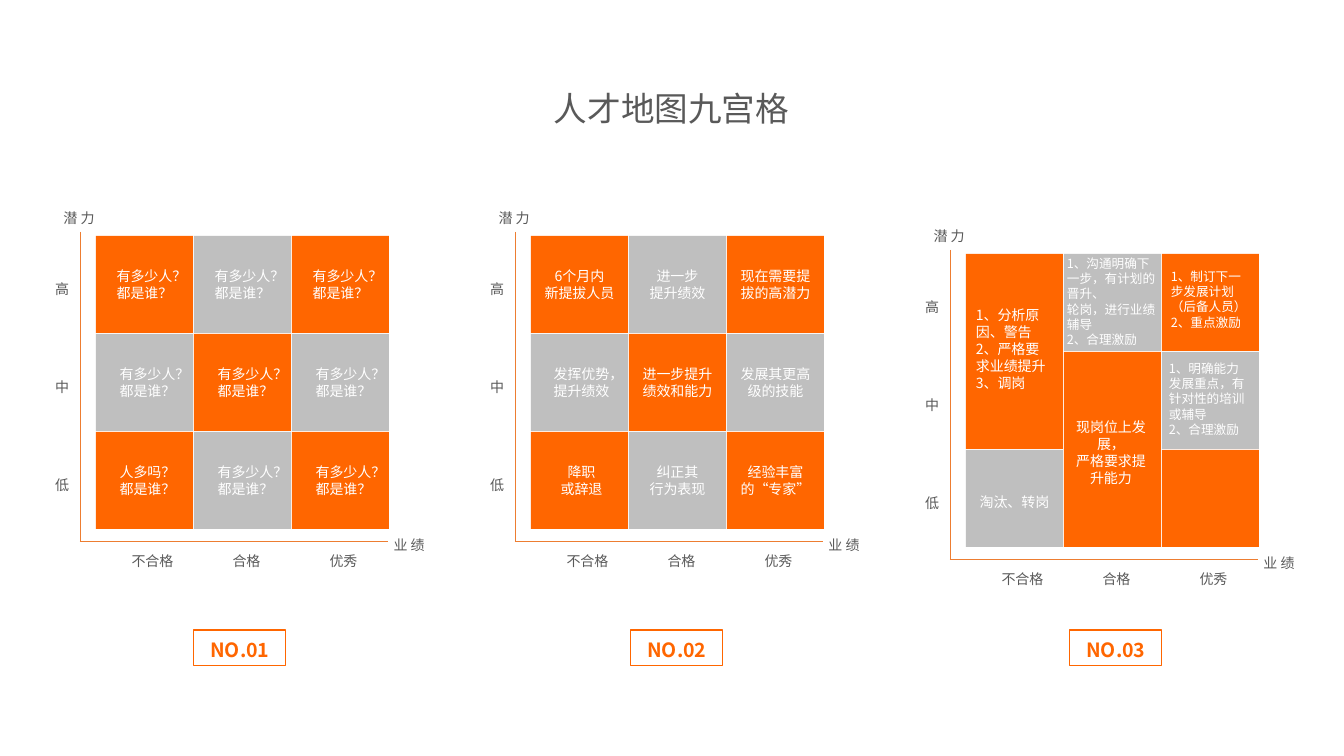
from dataclasses import dataclass

from lxml import etree
from pptx import Presentation
from pptx import util as u
from pptx.dml.color import RGBColor
from pptx.enum import lang, shapes, text
from pptx.oxml import ns

EMU_PER_PX = 914400 / 100.8
CELL = 97
PITCH = 98


@dataclass(frozen=True)
class Theme:
    """Colours, type sizes and font of the slide."""
    orange: str = "FF6600"
    silver: str = "BFBFBF"
    axis: str = "ED7D31"
    ink: str = "595959"
    white: str = "FFFFFF"
    font: str = "Noto Sans CJK SC"
    title: int = 24
    tag: int = 14
    body: int = 10
    small: int = 9


THEME = Theme()

HEADCOUNT = [["有多少人？\n都是谁？"] * 3 for _ in range(3)]
HEADCOUNT[2][0] = "人多吗？\n都是谁？"

ACTIONS = [
    ["6个月内\n新提拔人员", "进一步\n提升绩效", "现在需要提拔的高潜力"],
    ["发挥优势，提升绩效", "进一步提升绩效和能力", "发展其更高级的技能"],
    ["降职\n或辞退", "纠正其\n行为表现", "经验丰富的“专家”"],
]

PLAN_CELLS = [
    (0, 0, 2, THEME.orange), (1, 0, 1, THEME.silver), (2, 0, 1, THEME.orange),
    (1, 1, 2, THEME.orange), (2, 1, 1, THEME.silver),
    (0, 2, 1, THEME.silver), (2, 2, 1, THEME.orange),
]

LEFT, CENTER = text.PP_ALIGN.LEFT, text.PP_ALIGN.CENTER

PLAN_NOTES = [
    ("1、分析原因、警告\n2、严格要求业绩提升\n3、调岗",
     (0, 48, 97, 95), THEME.body, LEFT),
    ("1、沟通明确下一步，有计划的晋升、\n轮岗，进行业绩辅导\n2、合理激励",
     (91, -3, 109, 102), THEME.small, LEFT),
    ("1、制订下一步发展计划（后备人员）\n2、重点激励",
     (195, 10, 97, 72), THEME.small, LEFT),
    ("1、明确能力发展重点，有针对性的培训或辅导\n2、合理激励",
     (193, 102, 98, 87), THEME.small, LEFT),
    ("淘汰、转岗", (0, 235, 97, 27), THEME.body, CENTER),
    ("现岗位上发展，\n严格要求提升能力", (100, 160, 90, 78), THEME.body, CENTER),
]


def px(*lengths):
    """Turn pixel lengths into EMU."""
    return [u.Emu(round(length * EMU_PER_PX)) for length in lengths]


def write(frame, words, *, size=THEME.body, color=THEME.ink, bold=False,
          align=CENTER, spacing=None, wrap=True):
    """Fill a text frame, one paragraph per line of words."""
    frame.word_wrap = wrap
    frame.auto_size = text.MSO_AUTO_SIZE.SHAPE_TO_FIT_TEXT
    for index, line in enumerate(words.split("\n")):
        paragraph = frame.add_paragraph() if index else frame.paragraphs[0]
        paragraph.alignment = align
        if spacing:
            paragraph.line_spacing = spacing
        run = paragraph.add_run()
        run.text = line
        run.font.size = u.Pt(size)
        run.font.bold = bold
        run.font.color.rgb = RGBColor.from_string(color)
        run.font.name = THEME.font
        run.font.language_id = lang.MSO_LANGUAGE_ID.SIMPLIFIED_CHINESE
        etree.SubElement(run.font._element, ns.qn("a:ea"), typeface=THEME.font)


def add_label(slide, words, box, **style):
    """Place text in a box given in pixels."""
    write(slide.shapes.add_textbox(*px(*box)).text_frame, words, **style)


def add_block(slide, box, fill=None, line=None):
    """Draw a rectangle with an optional fill and outline."""
    block = slide.shapes.add_shape(shapes.MSO_SHAPE.RECTANGLE, *px(*box))
    block.shadow.inherit = False
    if fill:
        block.fill.solid()
        block.fill.fore_color.rgb = RGBColor.from_string(fill)
    else:
        block.fill.background()
    if line:
        block.line.color.rgb = RGBColor.from_string(line)
        block.line.width = u.Pt(0.75)
    else:
        block.line.fill.background()
    return block


def add_axis(slide, *ends):
    """Draw one thin axis line."""
    axis = slide.shapes.add_connector(shapes.MSO_CONNECTOR.STRAIGHT, *px(*ends))
    axis.line.color.rgb = RGBColor.from_string(THEME.axis)
    axis.line.width = u.Pt(0.5)
    etree.SubElement(axis._element.spPr, ns.qn("a:effectLst"))


def add_axes(slide, x, y):
    """Draw both axes of a map with their names and levels."""
    add_axis(slide, x - 16, y - 4, x - 16, y + 305)
    add_axis(slide, x - 16, y + 305, x + 292, y + 305)
    add_label(slide, "潜 力", (x - 44, y - 40, 54, 35), spacing=1.5)
    add_label(slide, "业 绩", (x + 286, y + 287, 54, 35), spacing=1.5)
    for row, level in enumerate("高中低"):
        add_label(slide, level, (x - 61, y + 31 + row * PITCH, 54, 35), spacing=1.5)
    for level, dx in (("不合格", 25), ("合格", 119), ("优秀", 216)):
        add_label(slide, level, (x + dx, y + 303, 63, 35), spacing=1.5)


def add_map(slide, x, y, cells, notes):
    """Draw one talent map: axes, coloured cells and notes."""
    add_axes(slide, x, y)
    for column, row, rows, fill in cells:
        add_block(slide, (x + column * PITCH, y + row * PITCH,
                          CELL, CELL + (rows - 1) * PITCH), fill)
    for words, (dx, dy, width, height), size, align in notes:
        add_label(slide, words, (x + dx, y + dy, width, height),
                  size=size, color=THEME.white, align=align)


def checker_cells():
    """List nine single cells in alternating colours."""
    fills = (THEME.orange, THEME.silver)
    return [(column, row, 1, fills[(column + row) % 2])
            for row in range(3) for column in range(3)]


def grid_notes(grid, place):
    """Turn a grid of words into notes, with place giving inset and width."""
    notes = []
    for row, line in enumerate(grid):
        for column, words in enumerate(line):
            inset, width = place(row, column)
            box = (column * PITCH + inset, row * PITCH + 27, width, 44)
            notes.append((words, box, THEME.body, CENTER))
    return notes


def headcount_place(row, column):
    """Give inset and width of a headcount note."""
    return (10 if row else 7), 83


def action_place(row, column):
    """Give inset and width of an action note."""
    return (9, 83) if row and not column else (0, 97)


def add_tag(slide, words, x):
    """Draw an outlined number tag."""
    tag = add_block(slide, (x, 630, 92, 36), line=THEME.orange)
    write(tag.text_frame, words, size=THEME.tag, color=THEME.orange,
          bold=True, spacing=1.1)


def main():
    """Build and save the slide."""
    deck = Presentation()
    deck.slide_width, deck.slide_height = px(1344, 756)
    slide = deck.slides.add_slide(deck.slide_layouts[6])
    add_label(slide, "人才地图九宫格", (544, 83, 255, 50), size=THEME.title, wrap=False)
    add_map(slide, 96, 236, checker_cells(), grid_notes(HEADCOUNT, headcount_place))
    add_map(slide, 531, 236, checker_cells(), grid_notes(ACTIONS, action_place))
    add_map(slide, 966, 254, PLAN_CELLS, PLAN_NOTES)
    for number, x in enumerate((194, 631, 1070), 1):
        add_tag(slide, f"NO.{number:02}", x)
    deck.save("out.pptx")


if __name__ == "__main__":
    main()
